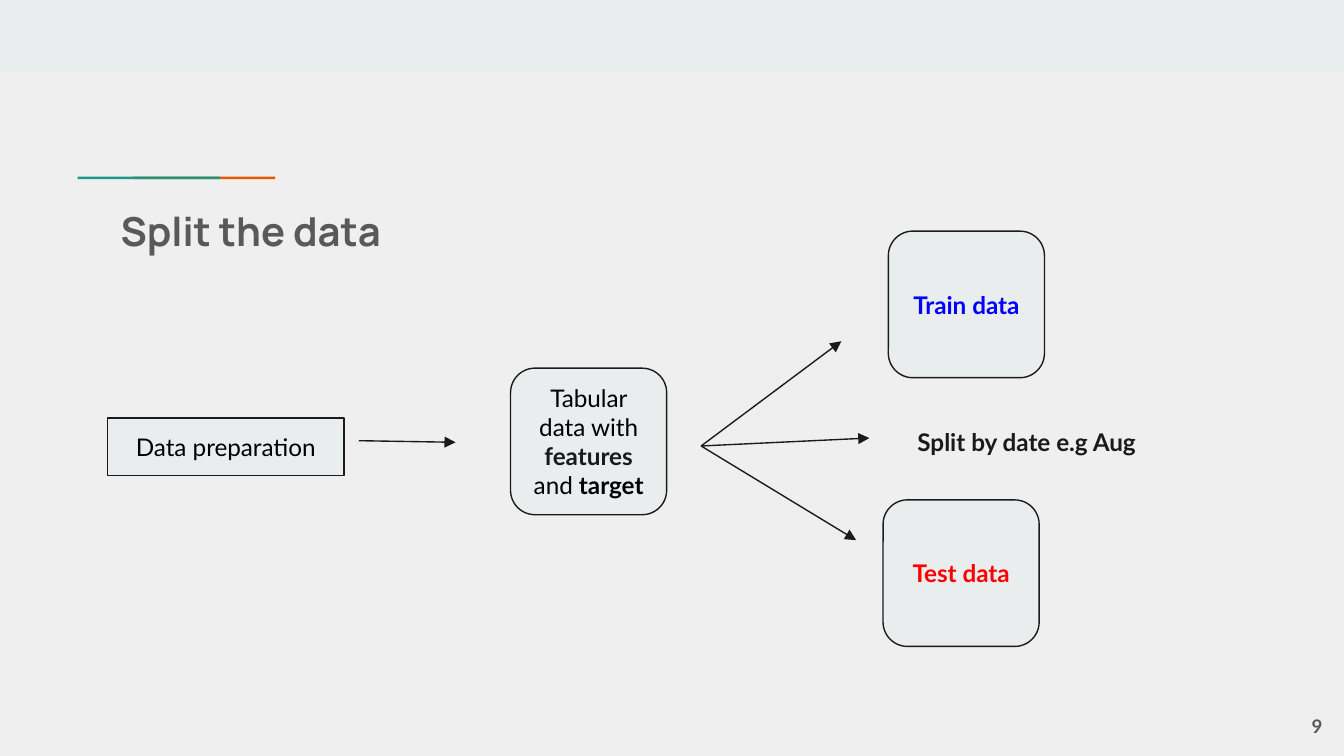
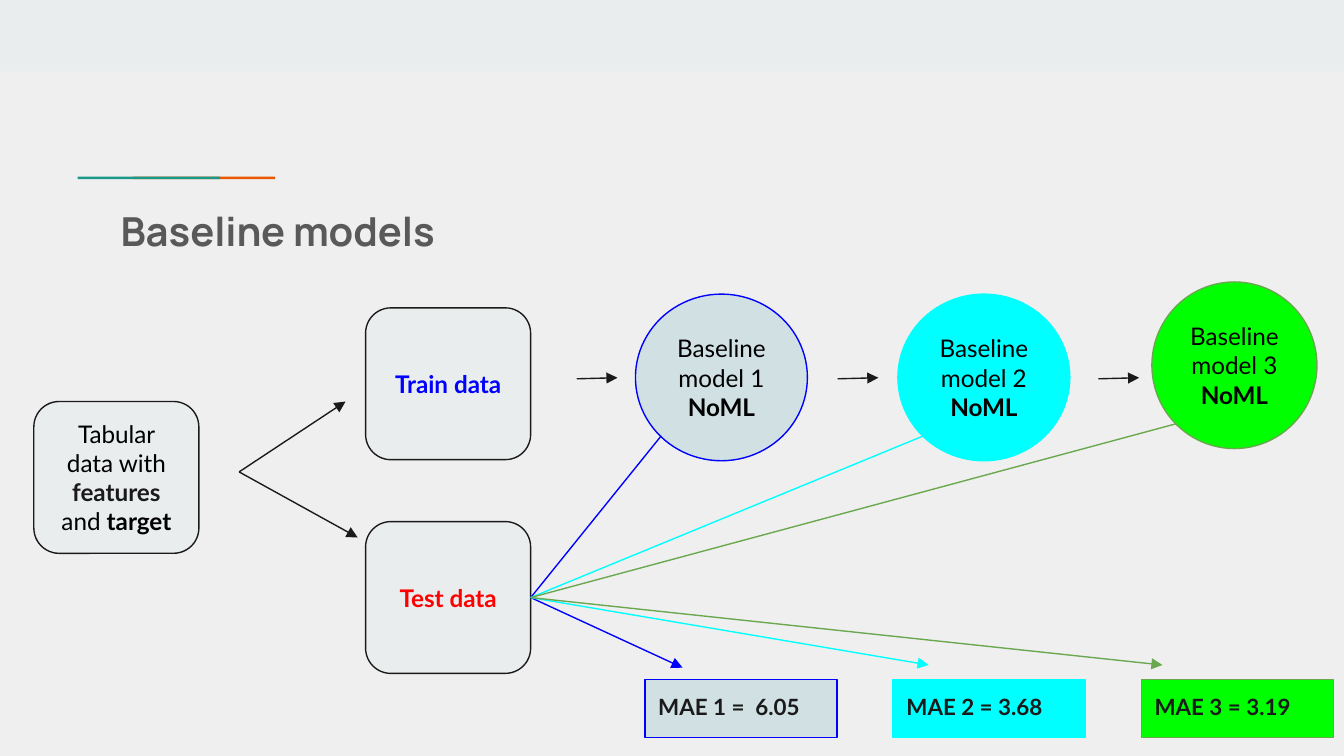
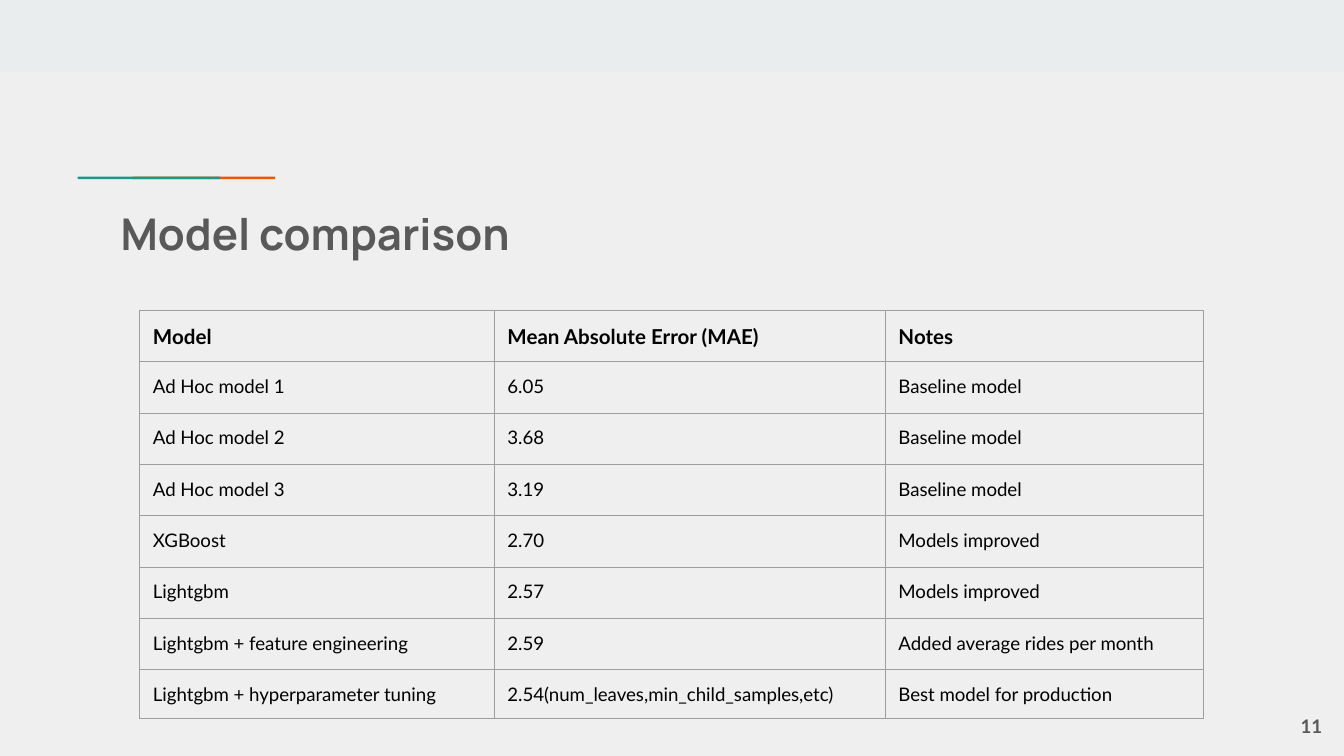
from typing import NamedTuple, Optional

import pptx
import pptx.dml.color
import pptx.enum.shapes
import pptx.enum.text
import pptx.oxml
import pptx.oxml.ns
import pptx.shapes.autoshape
import pptx.slide
import pptx.text.text
import pptx.util
from lxml import etree

Cm = pptx.util.Cm
Pt = pptx.util.Pt
RGBColor = pptx.dml.color.RGBColor
KIND = pptx.enum.shapes.MSO_SHAPE
ALIGN = pptx.enum.text.PP_ALIGN
ANCHOR = pptx.enum.text.MSO_ANCHOR

PAPER = RGBColor(0xEF, 0xEF, 0xEF)
MIST = RGBColor(0xE9, 0xED, 0xEE)
ORANGE = RGBColor(0xEB, 0x56, 0x00)
TEAL = RGBColor(0x1A, 0x99, 0x88)
GRAY = RGBColor(0x59, 0x59, 0x59)
GRID = RGBColor(0x9E, 0x9E, 0x9E)
INK = RGBColor(0x1A, 0x1A, 0x1A)
BLACK = RGBColor(0, 0, 0)
RED = RGBColor(0xFF, 0, 0)
BLUE = RGBColor(0, 0, 0xFF)
CYAN = RGBColor(0, 0xFF, 0xFF)
LIME = RGBColor(0, 0xFF, 0)
LEAF = RGBColor(0x6A, 0xA8, 0x4F)
PALE = RGBColor(0xD0, 0xE0, 0xE3)

HEAD_FONT = "Manrope"
BODY_FONT = "Lato"
INSET = Cm(0.25)
STROKE = Pt(0.75)


class Point(NamedTuple):
    x: float
    y: float


class Area(NamedTuple):
    left: float
    top: float
    width: float
    height: float

    def at(self, across: float, down: float) -> Point:
        return Point(self.left + self.width * across, self.top + self.height * down)

    def lengths(self) -> list[Cm]:
        return [Cm(value) for value in self]


class Run(NamedTuple):
    text: str
    color: RGBColor = BLACK
    bold: bool = False


class Style(NamedTuple):
    size: float = 13
    font: str = BODY_FONT
    align: ALIGN = ALIGN.CENTER
    anchor: ANCHOR = ANCHOR.MIDDLE


class Node(NamedTuple):
    kind: KIND
    area: Area
    lines: list[list[Run]]
    fill: RGBColor = MIST
    edge: Optional[RGBColor] = INK
    style: Style = Style()


class Arrow(NamedTuple):
    start: Point
    end: Point
    color: RGBColor = INK
    head: bool = True


class Model(NamedTuple):
    area: Area
    fill: RGBColor
    edge: RGBColor
    score: str
    tip: Point


LABEL = Style(align=ALIGN.LEFT, anchor=ANCHOR.TOP)
SCORE = LABEL._replace(size=12)
FOOT = Style(size=10, align=ALIGN.RIGHT)

TABULAR = [[Run("Tabular data with "), Run("features ", INK, True),
            Run("and "), Run("target", BLACK, True)]]
TRAIN = [[Run("Train data", BLUE, True)]]
TEST = [[Run("Test data", RED, True)]]

BAND = Area(0, 0, 25.4, 1.35)
RULES = [(Area(2.51, 3.34, 2.69, 0.05), ORANGE), (Area(1.47, 3.34, 2.69, 0.05), TEAL)]
TITLE = Area(2.03, 3.66, 21.36, 1.5)
NUMBER = Area(23.72, 13.18, 1.52, 1.09)

MODELS = [
    Model(Area(12.01, 5.56, 3.25, 3.15), PALE, BLUE, "MAE 1 =  6.05", Point(12.9, 12.62)),
    Model(Area(16.97, 5.56, 3.25, 3.15), CYAN, CYAN, "MAE 2 = 3.68", Point(17.55, 12.57)),
    Model(Area(21.77, 5.33, 3.12, 3.15), LIME, LEAF, "MAE 3 = 3.19", Point(21.97, 12.57)),
]

WIDTHS = [6.7, 7.39, 6.02]
ROWS = [
    ("Model", "Mean Absolute Error (MAE)", "Notes"),
    ("Ad Hoc model 1", "6.05", "Baseline model"),
    ("Ad Hoc model 2", "3.68", "Baseline model"),
    ("Ad Hoc model 3", "3.19", "Baseline model"),
    ("XGBoost", "2.70", "Models improved"),
    ("Lightgbm", "2.57", "Models improved"),
    ("Lightgbm + feature engineering", "2.59", "Added average rides per month"),
    ("Lightgbm + hyperparameter tuning", "2.54(num_leaves,min_child_samples,etc)",
     "Best model for production"),
]


def write(frame: pptx.text.text.TextFrame, lines: list[list[Run]], style: Style) -> None:
    frame.word_wrap = True
    frame.vertical_anchor = style.anchor
    frame.margin_left = frame.margin_right = INSET
    frame.margin_top = frame.margin_bottom = INSET
    for index, line in enumerate(lines):
        para = frame.add_paragraph() if index else frame.paragraphs[0]
        para.alignment = style.align
        for part in line:
            run = para.add_run()
            run.text = part.text
            run.font.name = style.font
            run.font.size = Pt(style.size)
            run.font.bold = part.bold
            run.font.color.rgb = part.color


def draw_text(slide: pptx.slide.Slide, area: Area, run: Run, style: Style) -> None:
    box = slide.shapes.add_textbox(*area.lengths())
    write(box.text_frame, [[run]], style)


def draw_node(slide: pptx.slide.Slide, node: Node) -> None:
    shape = slide.shapes.add_shape(node.kind, *node.area.lengths())
    shape.shadow.inherit = False
    shape.fill.solid()
    shape.fill.fore_color.rgb = node.fill
    if node.edge is None:
        shape.line.fill.background()
    else:
        shape.line.color.rgb = node.edge
        shape.line.width = STROKE
    if node.lines:
        write(shape.text_frame, node.lines, node.style)


def draw_arrow(slide: pptx.slide.Slide, arrow: Arrow) -> None:
    ends = [Cm(value) for value in (*arrow.start, *arrow.end)]
    line = slide.shapes.add_connector(pptx.enum.shapes.MSO_CONNECTOR.STRAIGHT, *ends)
    line.line.color.rgb = arrow.color
    line.line.width = STROKE
    qn = pptx.oxml.ns.qn
    props = line._element.spPr
    if arrow.head:
        etree.SubElement(props.find(qn("a:ln")), qn("a:tailEnd"), type="triangle")
    etree.SubElement(props, qn("a:effectLst"))


def start_slide(deck: pptx.presentation.Presentation, title: str, number: int,
                size: float = 21.4) -> pptx.slide.Slide:
    slide = deck.slides.add_slide(deck.slide_layouts[6])
    slide.background.fill.solid()
    slide.background.fill.fore_color.rgb = PAPER
    for area, color in [(BAND, MIST), *RULES]:
        draw_node(slide, Node(KIND.RECTANGLE, area, [], color, None))
    draw_text(slide, TITLE, Run(title, GRAY, True), LABEL._replace(size=size, font=HEAD_FONT))
    draw_text(slide, NUMBER, Run(str(number), GRAY, True), FOOT)
    return slide


def draw_boxes(slide: pptx.slide.Slide, spots: list[Point], width: float,
               height: float) -> None:
    for spot, lines in zip(spots, (TABULAR, TRAIN, TEST)):
        area = Area(*spot, width, height)
        draw_node(slide, Node(KIND.ROUNDED_RECTANGLE, area, lines))


def build_split(deck: pptx.presentation.Presentation) -> None:
    slide = start_slide(deck, "Split the data", 9)
    draw_boxes(slide, [Point(9.65, 6.96), Point(16.79, 4.37), Point(16.69, 9.45)], 2.95, 2.77)
    draw_node(slide, Node(KIND.RECTANGLE, Area(2.03, 7.9, 4.47, 1.09),
                          [[Run("Data preparation")]]))
    draw_arrow(slide, Arrow(Point(6.78, 8.33), Point(8.61, 8.36)))
    for end in (Point(15.9, 6.45), Point(16.43, 8.28), Point(16.18, 10.21)):
        draw_arrow(slide, Arrow(Point(13.25, 8.43), end))
    draw_text(slide, Area(17.09, 7.82, 5.51, 0.97),
              Run("Split by date e.g Aug", INK, True), LABEL)


def build_base(deck: pptx.presentation.Presentation) -> None:
    slide = start_slide(deck, "Baseline models", 10)
    test = Area(6.91, 9.86, 3.12, 2.87)
    draw_boxes(slide, [Point(0.64, 7.59), Point(6.91, 5.82), Point(test.left, test.top)],
               test.width, test.height)
    for end in (Point(6.53, 7.59), Point(6.76, 10.16)):
        draw_arrow(slide, Arrow(Point(4.52, 8.92), end))
    hub = test.at(1, 0.5)
    for index, model in enumerate(MODELS):
        name = [[Run(f"Baseline model {index + 1}")], [Run("NoML", BLACK, True)]]
        draw_node(slide, Node(KIND.OVAL, model.area, name, model.fill, model.edge))
        draw_arrow(slide, Arrow(model.area.at(0.15, 0.85), hub, model.edge, False))
        draw_arrow(slide, Arrow(hub, model.tip, model.edge))
        draw_node(slide, Node(KIND.RECTANGLE, Area(12.19 + 4.69 * index, 12.85, 3.63, 1.09),
                              [[Run(model.score, INK, True)]], model.fill, model.edge, SCORE))
        left = 10.9 + 4.93 * index
        draw_arrow(slide, Arrow(Point(left, 7.16), Point(left + 0.77, 7.14)))


def set_grid(cell: pptx.table._Cell) -> None:
    props = cell._tc.get_or_add_tcPr()
    for side in ("lnL", "lnR", "lnT", "lnB"):
        props.append(pptx.oxml.parse_xml(
            f'<a:{side} {pptx.oxml.ns.nsdecls("a")} w="{STROKE}"><a:solidFill>'
            f'<a:srgbClr val="{GRID}"/></a:solidFill></a:{side}>'))
    cell.fill.background()


def build_table(deck: pptx.presentation.Presentation) -> None:
    slide = start_slide(deck, "Model comparison", 11, 23.4)
    heights = [0.97] * (len(ROWS) - 1) + [0.79]
    area = Area(2.64, 5.87, sum(WIDTHS), sum(heights))
    table = slide.shapes.add_table(len(ROWS), len(WIDTHS), *area.lengths()).table
    table.first_row = table.horz_banding = False
    for column, width in zip(table.columns, WIDTHS):
        column.width = Cm(width)
    for index, (row, height) in enumerate(zip(table.rows, heights)):
        row.height = Cm(height)
        for cell, text in zip(row.cells, ROWS[index]):
            head = index == 0
            write(cell.text_frame, [[Run(text, BLACK, head)]],
                  LABEL._replace(size=11 if head else 10))
            cell.margin_left = cell.margin_right = INSET
            cell.margin_top = cell.margin_bottom = INSET
            cell.vertical_anchor = ANCHOR.TOP
            set_grid(cell)


def main() -> None:
    deck = pptx.Presentation()
    deck.slide_width = Cm(25.4)
    deck.slide_height = Cm(14.29)
    build_split(deck)
    build_base(deck)
    build_table(deck)
    deck.save("out.pptx")


if __name__ == "__main__":
    main()
